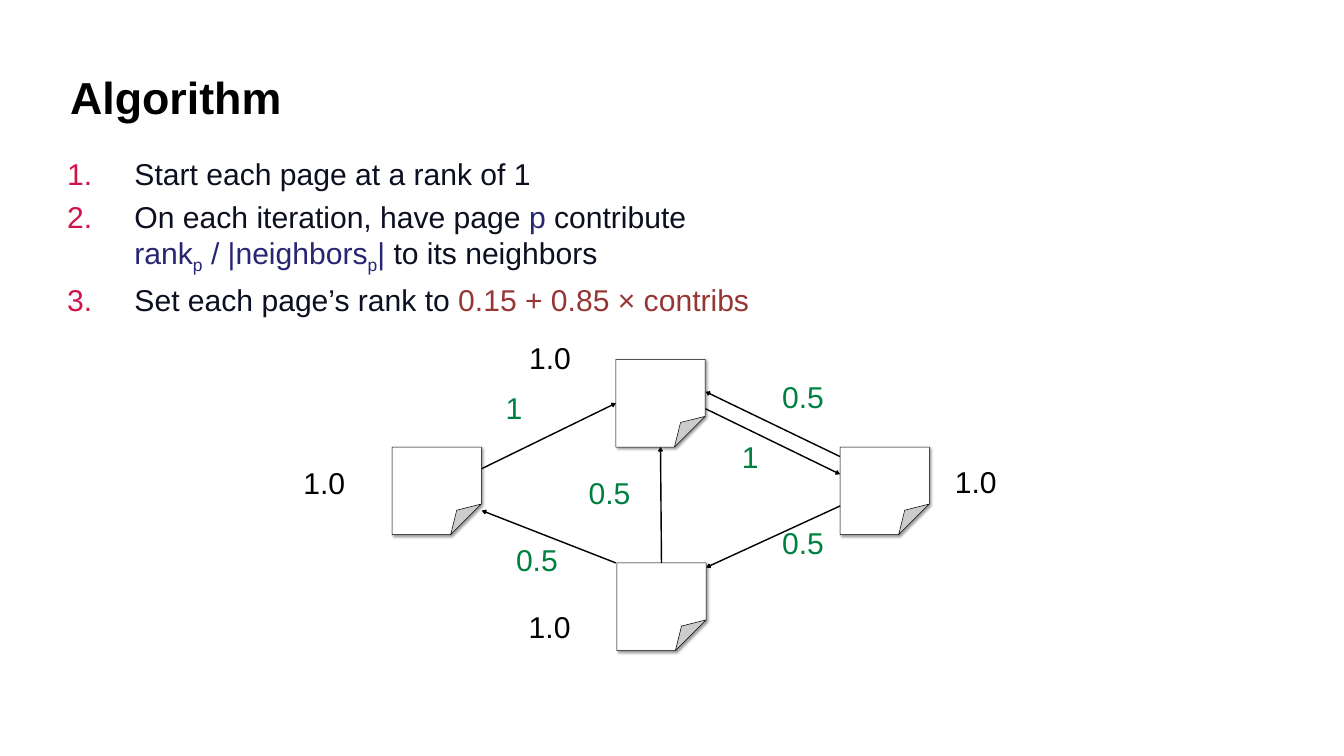
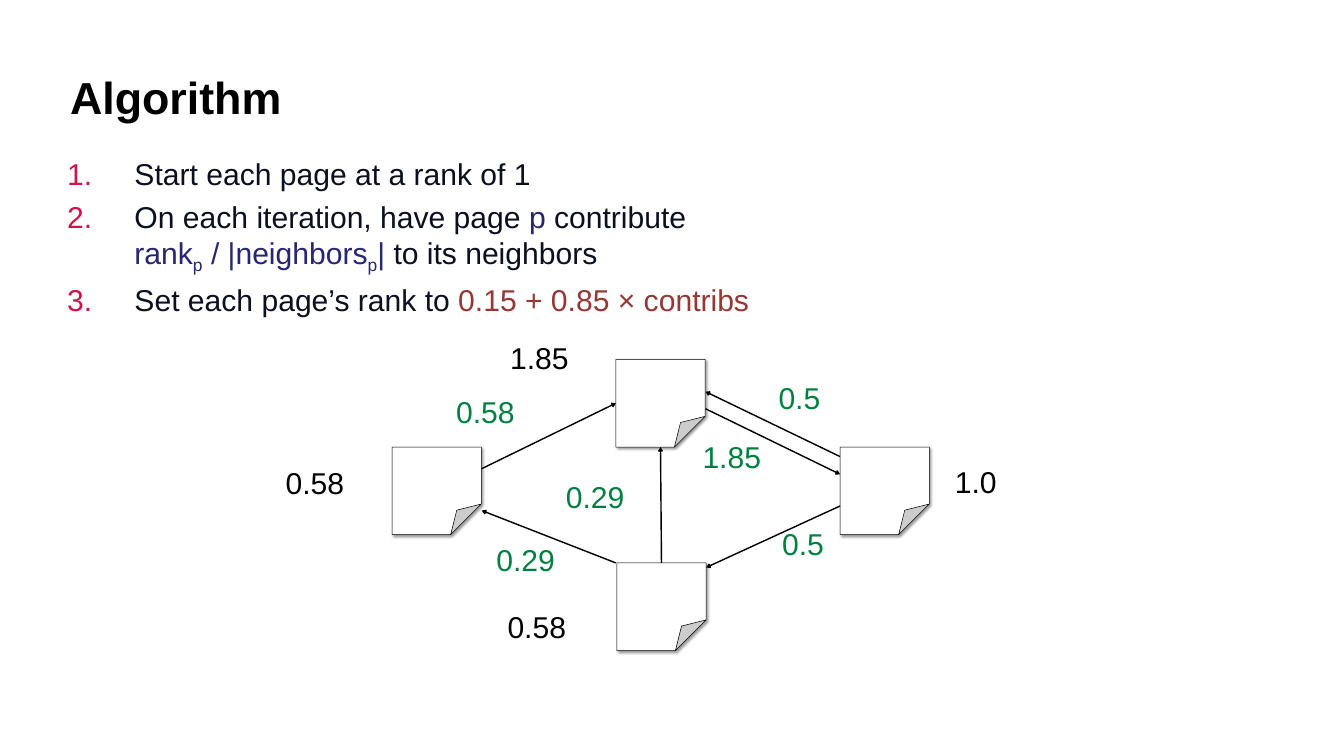
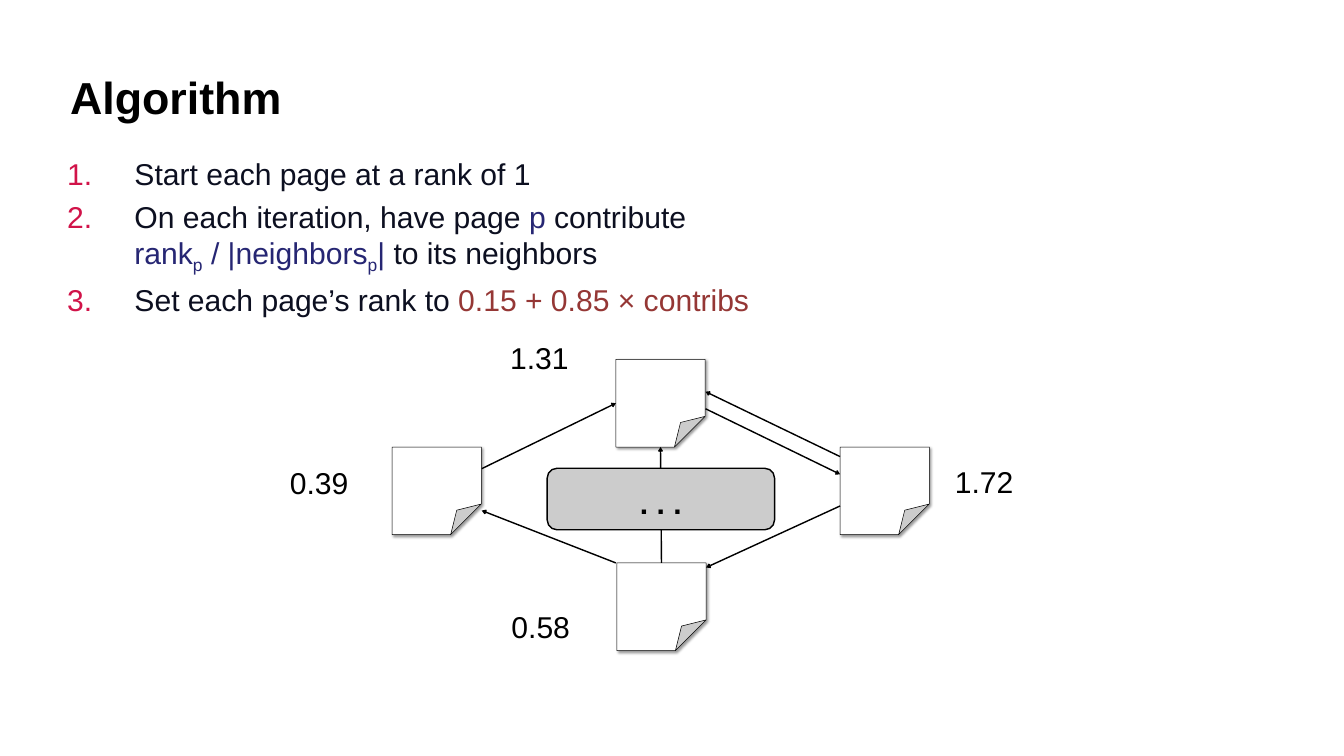
import pptx
import pptx.util
import pptx.dml.color
import pptx.enum.shapes
import pptx.enum.text
import pptx.oxml.ns
import lxml.etree

Cm = pptx.util.Cm
Pt = pptx.util.Pt
qn = pptx.oxml.ns.qn
Kind = pptx.enum.shapes.MSO_SHAPE
Anchor = pptx.enum.text.MSO_ANCHOR
Align = pptx.enum.text.PP_ALIGN

FONT = "Arial"
BLACK, WHITE, GREY = "000000", "FFFFFF", "CCCCCC"
INK, NAVY, BRICK, GREEN, PINK = "0C0F20", "262673", "953735", "008040", "D11349"

TITLE = "Algorithm"
STEPS = [
    [("Start each page at a rank of 1", INK)],
    [("On each iteration, have page ", INK), ("p", NAVY), (" contribute", INK),
     ("\n", INK), ("rank", NAVY), ("p", NAVY, "sub"), (" / |neighbors", NAVY),
     ("p", NAVY, "sub"), ("|", NAVY), (" to its neighbors", INK)],
    [("Set each page’s rank to ", INK), ("0.15 + 0.85 × contribs", BRICK)],
]

PAGE = (4.5, 4.42)
PAGES = {"left": (19.76, 22.53), "top": (31.04, 18.11),
         "right": (42.34, 22.53), "base": (31.09, 28.37)}
LINKS = [
    ("base", None, (31.04, 28.37), "left", None, (24.28, 25.73)),
    ("base", 0, (33.34, 28.37), "top", 2, (33.29, 22.53)),
    ("left", None, (24.28, 23.62), "top", 1, (31.04, 20.32)),
    ("right", None, (42.34, 23.01), "top", None, (35.56, 19.74)),
    ("top", None, (35.56, 20.6), "right", None, (42.34, 23.9)),
    ("right", None, (42.34, 25.5), "base", None, (35.59, 28.6)),
]
RANK_Y = (23.11, 23.06, 16.79, 30.38)

SLIDES = [
    {"ranks": [("1.0", 14.68), ("1.0", 47.52), ("1.0", 26.06), ("1.0", 26.04)],
     "gives": [("1", 24.87, 19.33), ("0.5", 25.4, 27), ("0.5", 29.06, 23.62),
               ("0.5", 38.81, 18.77), ("1", 36.78, 21.77), ("0.5", 38.81, 26.14)]},
    {"ranks": [("0.58", 13.79), ("1.0", 47.52), ("1.85", 25.1), ("0.58", 24.97)],
     "gives": [("0.58", 22.38, 19.51), ("0.29", 24.41, 27), ("0.29", 27.91, 23.8),
               ("0.5", 38.63, 18.8), ("1.85", 34.8, 21.77), ("0.5", 38.81, 26.16)]},
    {"ranks": [("0.39", 14), ("1.72", 47.52), ("1.31", 25.1), ("0.58", 25.17)],
     "gives": [], "more": ". . ."},
]


def tint(code):
    return pptx.dml.color.RGBColor.from_string(code)


def sub(node, tag, **attrs):
    return lxml.etree.SubElement(node, qn(tag), **attrs)


def write(shape, text, size=43, color=BLACK, bold=False, align=Align.LEFT,
          anchor=Anchor.TOP, pads=(0, 0, 0, 0), wrap=True):
    frame = shape.text_frame
    frame.word_wrap = wrap
    frame.vertical_anchor = anchor
    frame.margin_left, frame.margin_top, frame.margin_right, frame.margin_bottom = map(Cm, pads)
    paras = [[(text, color)]] if isinstance(text, str) else text
    for i, parts in enumerate(paras):
        para = frame.paragraphs[0] if i == 0 else frame.add_paragraph()
        para.alignment = align
        for words, shade, *base in parts:
            if words == "\n":
                para.add_line_break()
                continue
            run = para.add_run()
            run.text = words
            font = run.font
            font.name, font.size, font.bold = FONT, Pt(size), bold
            font.color.rgb = tint(shade)
            if base:
                run._r.get_or_add_rPr().set("baseline", "-25000")
    return frame


def count(frame):
    for i, para in enumerate(frame.paragraphs):
        para.space_before = Pt(9.5 if i else 18)
        props = para._p.get_or_add_pPr()
        props.set("marL", str(Cm(3.4)))
        props.set("indent", str(-Cm(3.4)))
        sub(sub(props, "a:buClr"), "a:srgbClr", val=PINK)
        sub(props, "a:buFont", typeface=FONT)
        sub(props, "a:buAutoNum", type="arabicPeriod")


def box(slide, x, y, w, h):
    return slide.shapes.add_textbox(Cm(x), Cm(y), Cm(w), Cm(h))


def draw(slide, kind, x, y, w, h, bend, fill, width):
    shape = slide.shapes.add_shape(kind, Cm(x), Cm(y), Cm(w), Cm(h))
    guides = shape._element.spPr.find(qn("a:prstGeom")).find(qn("a:avLst"))
    guides.clear()
    sub(guides, "a:gd", name="adj", fmla=f"val {round(bend * 100000)}")
    shape.shadow.inherit = False
    shape.fill.solid()
    shape.fill.fore_color.rgb = tint(fill)
    shape.line.color.rgb = tint(BLACK)
    shape.line.width = Pt(width)
    return shape


def page(slide, x, y):
    shape = draw(slide, Kind.FOLDED_CORNER, x, y, *PAGE, 0.35, WHITE, 0.75)
    glow = sub(shape._element.spPr.find(qn("a:effectLst")), "a:outerShdw",
               blurRad=str(Pt(4)), dist=str(Pt(3)), dir="2700000",
               algn="tl", rotWithShape="0")
    sub(sub(glow, "a:srgbClr", val=BLACK), "a:alpha", val="40000")
    return shape


def link(slide, pages, tail, out, start, head, into, end):
    line = slide.shapes.add_connector(
        pptx.enum.shapes.MSO_CONNECTOR.STRAIGHT, *map(Cm, start + end))
    if out is not None:
        line.begin_connect(pages[tail], out)
    if into is not None:
        line.end_connect(pages[head], into)
    line.line.color.rgb = tint(BLACK)
    line.line.width = Pt(2)
    props = line._element.spPr
    sub(props.find(qn("a:ln")), "a:tailEnd", type="arrow")
    sub(props, "a:effectLst")


def label(slide, text, x, y, color):
    dots = text.count(".")
    width = 1.24 + 0.84 * (len(text) - dots) + 0.42 * dots
    frame = write(box(slide, x, y, width, 2.44), text, color=color,
                  pads=(0.61, 0.3, 0.61, 0.3), wrap=False)
    frame.auto_size = pptx.enum.text.MSO_AUTO_SIZE.SHAPE_TO_FIT_TEXT


def build(slide, ranks, gives, more=None):
    write(box(slide, 3.38, 1.7, 60.96, 6.35), TITLE, size=64, bold=True,
          anchor=Anchor.MIDDLE, pads=(0.15,) * 4)
    count(write(box(slide, 3.38, 7.82, 60.96, 11.1), STEPS))
    pages = {name: page(slide, *spot) for name, spot in PAGES.items()}
    for row in LINKS:
        link(slide, pages, *row)
    for (text, x), y in zip(ranks, RANK_Y):
        label(slide, text, x, y, BLACK)
    for text, x, y in gives:
        label(slide, text, x, y, GREEN)
    if more:
        panel = draw(slide, Kind.ROUNDED_RECTANGLE, 27.58, 23.6, 11.46, 3.1, 0.16, GREY, 2)
        write(panel, more, bold=True, align=Align.CENTER,
              anchor=Anchor.BOTTOM, pads=(0.61, 0, 0.61, 0.3))


def main():
    deck = pptx.Presentation()
    deck.slide_width, deck.slide_height = Cm(67.74), Cm(38.1)
    for data in SLIDES:
        build(deck.slides.add_slide(deck.slide_layouts[6]), **data)
    deck.save("out.pptx")


if __name__ == "__main__":
    main()
